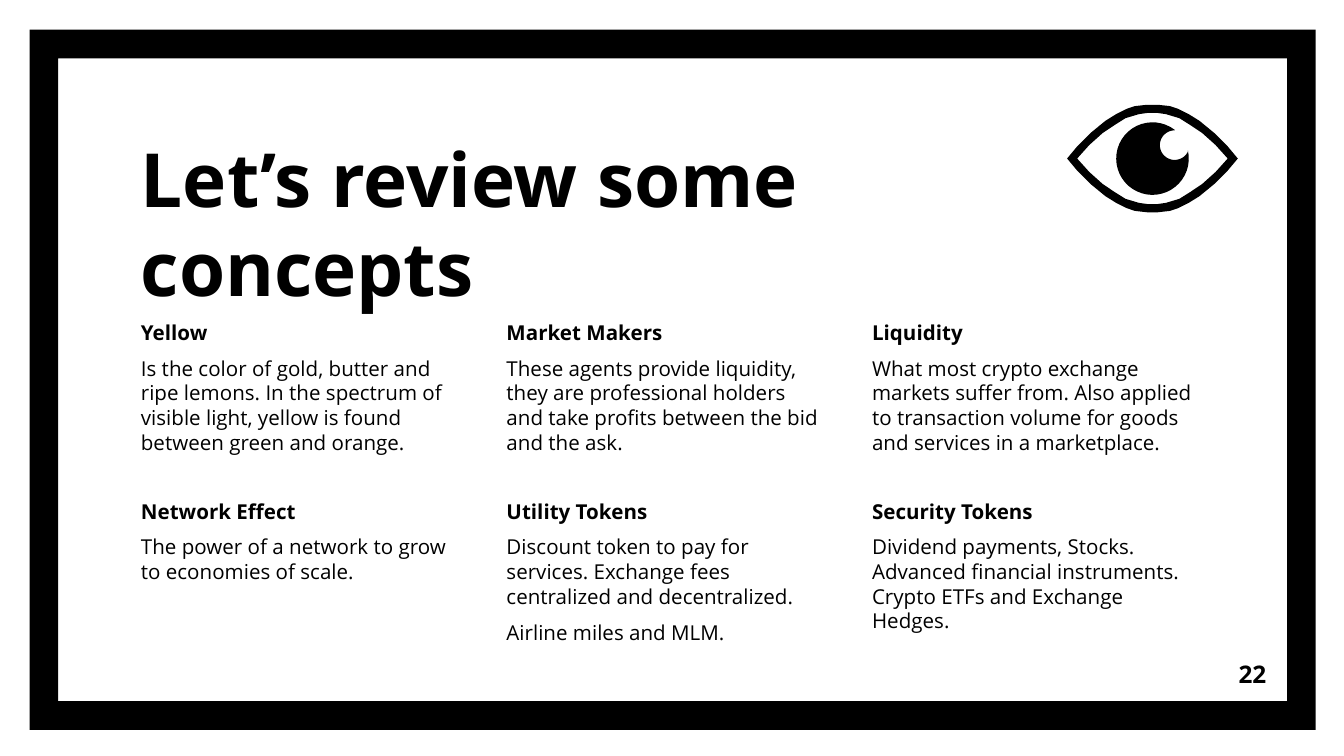
import math
import pptx
import pptx.dml.color
import pptx.enum.shapes
import pptx.enum.text
import pptx.util
from pptx.util import Inches

ALIGN = pptx.enum.text.PP_ALIGN
ANCHOR = pptx.enum.text.MSO_ANCHOR


class Theme:
    ink = pptx.dml.color.RGBColor(0, 0, 0)
    paper = pptx.dml.color.RGBColor(255, 255, 255)
    font = "Open Sans"
    title, body, number = 40, 11, 13


CONCEPTS = [
    ("Yellow", "Is the color of gold, butter and ripe lemons. In the spectrum of "
               "visible light, yellow is found between green and orange."),
    ("Market Makers", "These agents provide liquidity, they are professional holders "
                      "and take profits between the bid and the ask. "),
    ("Liquidity", "What most crypto exchange markets suffer from. Also applied to "
                  "transaction volume for goods and services in a marketplace."),
    ("Network Effect", "The power of a network to grow to economies of scale."),
    ("Utility Tokens", "Discount token to pay for services. Exchange fees "
                       "centralized and decentralized. ", "Airline miles and MLM."),
    ("Security Tokens", "Dividend payments, Stocks. Advanced financial instruments. "
                        "Crypto ETFs and Exchange Hedges. "),
]

# Upper-left quarter of each eyelid contour, as offsets from the eye centre
EYE_CENTRE = (8.575, 1.18)
LID_OUTER = [(-0.635, 0), (-0.56, -0.09), (-0.46, -0.19), (-0.35, -0.28),
             (-0.27, -0.33), (-0.19, -0.37), (-0.13, -0.39), (-0.04, -0.4), (0, -0.4)]
LID_INNER = [(-0.56, 0), (-0.47, -0.1), (-0.37, -0.19), (-0.28, -0.25),
             (-0.2, -0.3), (-0.1, -0.33), (-0.03, -0.34), (0, -0.34)]


def set_format(obj, values):
    for name, value in values.items():
        setattr(obj, name, value)


def paint(sp):
    sp.shadow.inherit = False
    sp.fill.solid()
    sp.fill.fore_color.rgb = Theme.ink
    sp.line.fill.background()


def add_text(slide, box, paragraphs, size, anchor=ANCHOR.TOP, **para_format):
    """Add a text box; paragraphs is a list of (text, bold)."""
    sp = slide.shapes.add_textbox(*map(Inches, box))
    tf = sp.text_frame
    margins = ("margin_left", "margin_top", "margin_right", "margin_bottom")
    set_format(tf, dict.fromkeys(margins, Inches(0.1)))
    set_format(tf, {"word_wrap": True, "vertical_anchor": anchor})
    for i, (text, bold) in enumerate(paragraphs):
        p = tf.paragraphs[0] if i == 0 else tf.add_paragraph()
        set_format(p, para_format)
        r = p.add_run()
        r.text = text
        set_format(r.font, {"name": Theme.font, "size": pptx.util.Pt(size), "bold": bold})
        r.font.color.rgb = Theme.ink


def add_outline(shapes, contours):
    """Fill closed contours given in inches; an inner contour cuts a hole."""
    contours = [[(Inches(x), Inches(y)) for x, y in c] for c in contours]
    builder = shapes.build_freeform(*contours[0][0], scale=1.0)
    for i, points in enumerate(contours):
        if i:
            builder.move_to(*points[0])
        builder.add_line_segments(points[1:], close=True)
    paint(builder.convert_to_shape())


def mirror_quarter(quarter):
    """Complete a quarter contour by symmetry about the eye centre."""
    cx, cy = EYE_CENTRE
    top = quarter + [(-x, y) for x, y in quarter[-2::-1]]
    offsets = top + [(x, -y) for x, y in top[-2:0:-1]]
    return [(cx + x, cy + y) for x, y in offsets]


def arc(centre, radius, start, end, steps=40):
    angles = [math.radians(start + (end - start) * i / steps) for i in range(steps + 1)]
    return [(centre[0] + radius * math.cos(a), centre[1] + radius * math.sin(a))
            for a in angles]


def add_eye(slide):
    group = slide.shapes.add_group_shape()
    add_outline(group.shapes, [mirror_quarter(LID_OUTER), mirror_quarter(LID_INNER)])
    # Pupil with a round highlight cut from its edge
    pupil = arc(EYE_CENTRE, 0.27, -52, -373)
    highlight = arc((8.74, 1.08), 0.11, 24, 270)
    add_outline(group.shapes, [pupil + highlight])


def add_frame(slide):
    sp = slide.shapes.add_shape(pptx.enum.shapes.MSO_SHAPE.FRAME,
                                *map(Inches, (0.22, 0.22, 9.57, 5.21)))
    sp.adjustments[0] = 0.041
    paint(sp)


def add_concepts(slide):
    for i, (heading, *body) in enumerate(CONCEPTS):
        row, col = divmod(i, 3)
        box = (0.95 + 2.72 * col, 2.28 + 1.33 * row, 2.58, 1.54)
        paragraphs = [(heading, True)] + [(text, False) for text in body]
        add_text(slide, box, paragraphs, Theme.body, space_before=pptx.util.Pt(6))


def main():
    prs = pptx.Presentation()
    # Widescreen, 16:9
    width = Inches(10)
    set_format(prs, {"slide_width": width, "slide_height": width * 9 // 16})
    slide = prs.slides.add_slide(prs.slide_layouts[6])
    slide.background.fill.solid()
    slide.background.fill.fore_color.rgb = Theme.paper

    add_frame(slide)
    # Title
    add_text(slide, (0.95, 0.93, 5.57, 1.49), [("Let’s review some concepts", True)],
             Theme.title, ANCHOR.BOTTOM)
    add_concepts(slide)
    add_eye(slide)
    # Slide number
    add_text(slide, (8.92, 4.8, 0.6, 0.43), [("22", True)], Theme.number,
             ANCHOR.MIDDLE, alignment=ALIGN.RIGHT)
    prs.save("out.pptx")


main()
